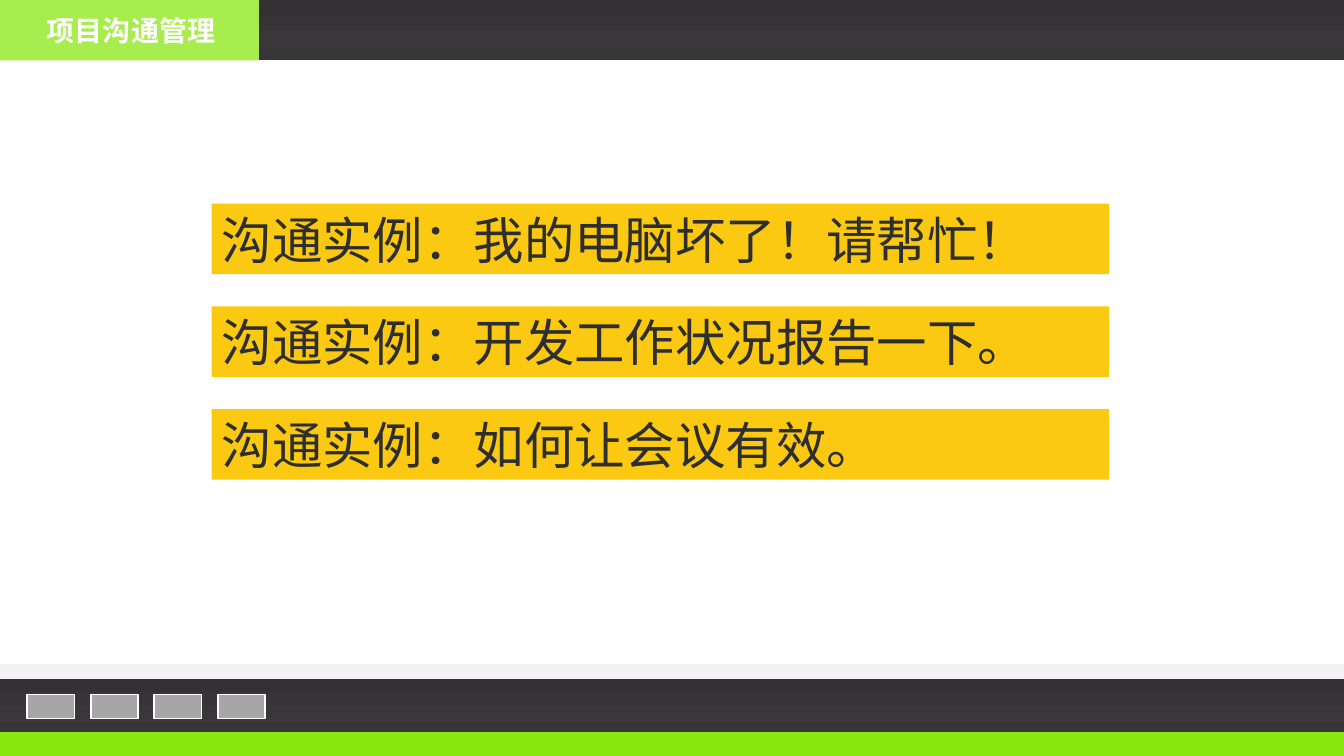
from dataclasses import dataclass

import pptx
import pptx.dml.color
import pptx.enum.shapes
import pptx.enum.text
import pptx.oxml
import pptx.oxml.ns
import pptx.util
from pptx.util import Inches

RGBColor = pptx.dml.color.RGBColor
PP_ALIGN = pptx.enum.text.PP_ALIGN
WHITE = RGBColor(0xFF, 0xFF, 0xFF)
PALE_GREY = RGBColor(0xF2, 0xF2, 0xF2)
MID_GREY = RGBColor(0xA6, 0xA6, 0xA6)
INK = RGBColor(0x2D, 0x2E, 0x2D)
GREEN = RGBColor(0x88, 0xE7, 0x0F)
YELLOW = RGBColor(0xFB, 0xC9, 0x11)
DARK_STOPS = (
    (0, RGBColor(0x33, 0x31, 0x34)),
    (74, RGBColor(0x39, 0x37, 0x3A)),
    (83, RGBColor(0x37, 0x35, 0x38)),
    (100, RGBColor(0x36, 0x34, 0x36)),
)

TITLE = "项目沟通管理"
EXAMPLES = (
    "沟通实例：我的电脑坏了！请帮忙！",
    "沟通实例：开发工作状况报告一下。",
    "沟通实例：如何让会议有效。",
)
TITLE_FONT = {"name": "Arial", "size": pptx.util.Pt(20), "bold": True}
EXAMPLE_FONT = {"name": "Arial", "size": pptx.util.Pt(36), "bold": False}


@dataclass(frozen=True)
class Box:
    left: float
    top: float
    width: float
    height: float
    fill: RGBColor | None = None  # None gives the dark gradient
    line: RGBColor | None = None
    alpha: int = 100


FRAME = (
    Box(0, 0, 13.33, 6.59, WHITE),
    Box(0, 7.26, 13.33, 0.24, GREEN),
    Box(0, 6.74, 13.33, 0.52),
    Box(0, 0, 2.57, 0.6, GREEN, alpha=74),
    Box(2.57, 0, 10.76, 0.6),
)
BUTTONS = tuple(Box(0.27 + 0.63 * i, 6.89, 0.47, 0.24, MID_GREY, WHITE) for i in range(4))


def fill_dark(sp) -> None:
    """Give a shape the vertical four-stop dark gradient."""
    sp.fill.gradient()
    sp.fill.gradient_angle = 270
    stops = sp.element.spPr.find(".//" + pptx.oxml.ns.qn("a:gsLst"))
    for stop in list(stops):
        stops.remove(stop)
    for percent, color in DARK_STOPS:
        stops.append(pptx.oxml.parse_xml(
            f'<a:gs {pptx.oxml.ns.nsdecls("a")} pos="{percent * 1000}">'
            f'<a:srgbClr val="{color}"/></a:gs>'))


def add_box(s, box: Box):
    sp = s.shapes.add_shape(
        pptx.enum.shapes.MSO_SHAPE.RECTANGLE,
        Inches(box.left), Inches(box.top), Inches(box.width), Inches(box.height))
    sp.shadow.inherit = False
    if box.fill is None:
        fill_dark(sp)
    else:
        sp.fill.solid()
        sp.fill.fore_color.rgb = box.fill
    if box.alpha < 100:
        color = sp.element.spPr.find(".//" + pptx.oxml.ns.qn("a:srgbClr"))
        color.append(pptx.oxml.parse_xml(
            f'<a:alpha {pptx.oxml.ns.nsdecls("a")} val="{box.alpha * 1000}"/>'))
    if box.line is None:
        sp.line.fill.background()
    else:
        sp.line.color.rgb = box.line
        sp.line.width = pptx.util.Pt(1.2)
    return sp


def set_text(sp, text: str, font: dict, color: RGBColor, align: PP_ALIGN) -> None:
    tf = sp.text_frame
    frame = {
        "word_wrap": True,
        "auto_size": pptx.enum.text.MSO_AUTO_SIZE.NONE,
        "vertical_anchor": pptx.enum.text.MSO_ANCHOR.MIDDLE,
        "margin_left": Inches(0.1), "margin_right": Inches(0.1),
        "margin_top": Inches(0.05), "margin_bottom": Inches(0.05),
    }
    for name, value in frame.items():
        setattr(tf, name, value)
    p = tf.paragraphs[0]
    p.alignment = align
    r = p.add_run()
    r.text = text
    for name, value in font.items():
        setattr(r.font, name, value)
    r.font.color.rgb = color


def add_title(s) -> None:
    sp = s.shapes.title
    place = {"left": 0.02, "top": 0.09, "width": 2.56, "height": 0.43}
    for name, value in place.items():
        setattr(sp, name, Inches(value))
    set_text(sp, TITLE, TITLE_FONT, WHITE, PP_ALIGN.CENTER)
    sp.element.getparent().append(sp.element)  # in front of the green tab


def main() -> None:
    prs = pptx.Presentation()
    prs.slide_width, prs.slide_height = Inches(13.33), Inches(7.5)
    s = prs.slides.add_slide(prs.slide_layouts[5])
    s.background.fill.solid()
    s.background.fill.fore_color.rgb = PALE_GREY
    for box in FRAME + BUTTONS:
        add_box(s, box)
    for i, text in enumerate(EXAMPLES):
        sp = add_box(s, Box(2.1, 2.02 + 1.02 * i, 8.9, 0.7, YELLOW))
        set_text(sp, text, EXAMPLE_FONT, INK, PP_ALIGN.LEFT)
    add_title(s)
    prs.save("out.pptx")


if __name__ == "__main__":
    main()
